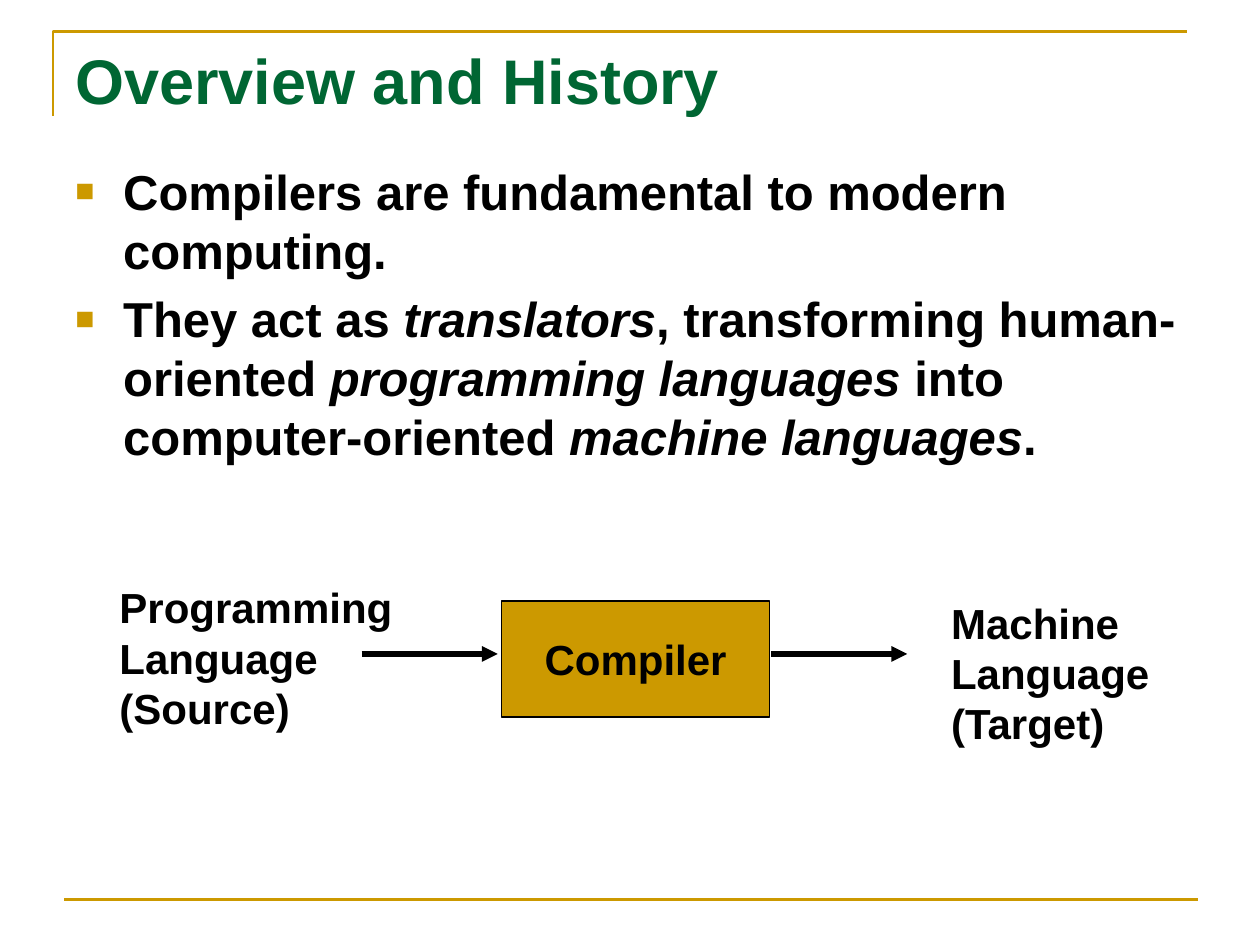
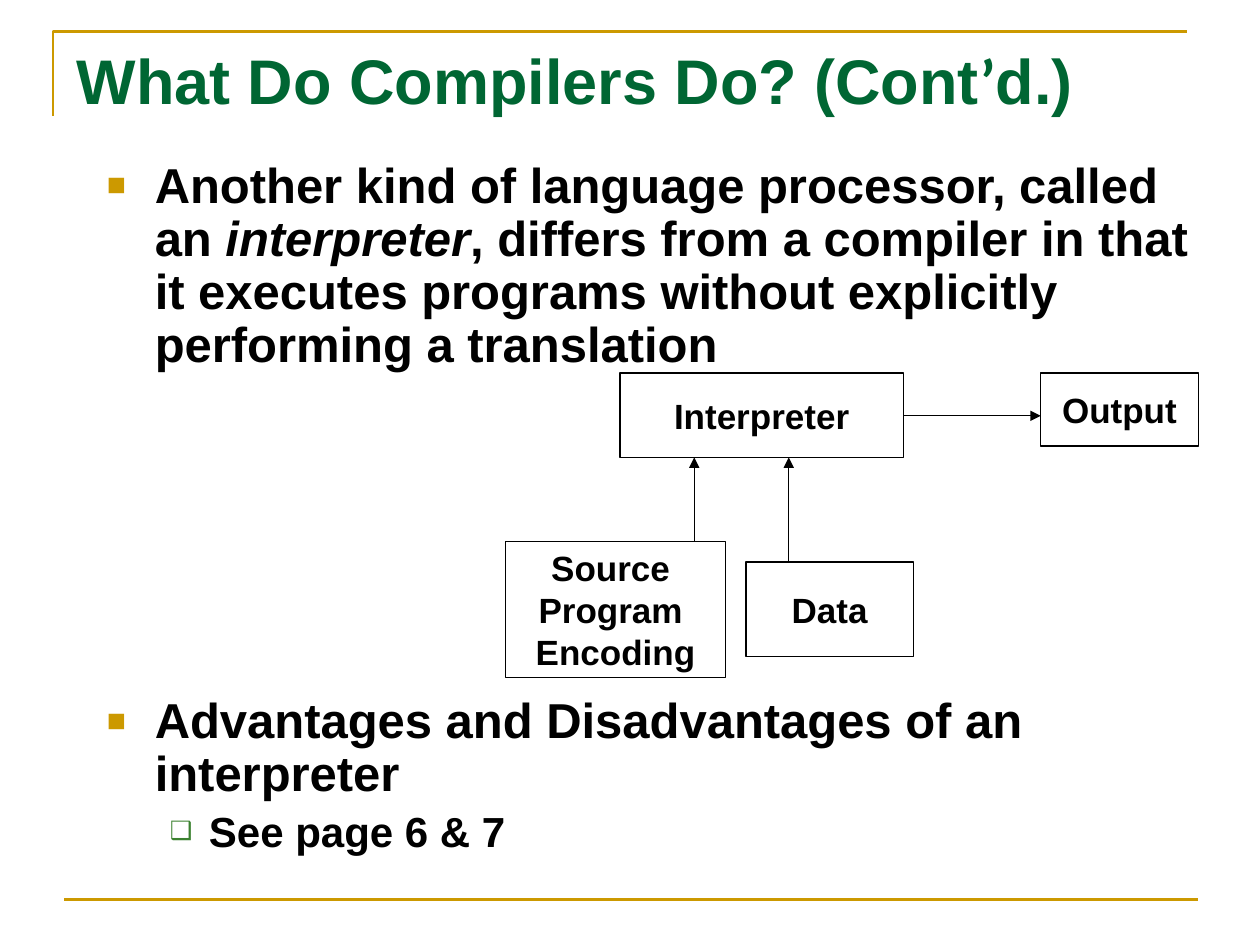
from lxml import etree
from pptx import Presentation
from pptx.dml.color import RGBColor
from pptx.enum.shapes import MSO_CONNECTOR, MSO_SHAPE
from pptx.enum.text import MSO_ANCHOR, MSO_AUTO_SIZE, PP_ALIGN
from pptx.oxml.ns import qn
from pptx.util import Inches, Pt

GOLD = RGBColor(0xCC, 0x99, 0x00)
GREEN = RGBColor(0x00, 0x66, 0x33)
LEAF = RGBColor(0x3B, 0x81, 0x2F)
BLACK = RGBColor(0x00, 0x00, 0x00)
STRAIGHT = MSO_CONNECTOR.STRAIGHT
RECTANGLE = MSO_SHAPE.RECTANGLE
MIDDLE = MSO_ANCHOR.MIDDLE
CENTER = PP_ALIGN.CENTER
FIT_SHAPE = MSO_AUTO_SIZE.SHAPE_TO_FIT_TEXT
FONT = "Arial"
TITLE_SIZE, BODY_SIZE, LABEL_SIZE, BOX_SIZE = 36, 28, 24, 20
BULLETS = [
    {"char": "■", "color": GOLD, "scale": 65, "margin": 0.38, "hang": 0.38, "size": BODY_SIZE},
    {"char": "❑", "color": LEAF, "scale": 60, "margin": 0.81, "hang": 0.31, "size": LABEL_SIZE},
]


class SlideWriter:
    def __init__(self, deck):
        self.deck = deck
        self.page = None

    def new_page(self):
        self.page = self.deck.slides.add_slide(self.deck.slide_layouts[6])
        builder = self.page.shapes.build_freeform(Inches(0.42), Inches(0.92))
        builder.add_line_segments(
            [(Inches(0.42), Inches(0.25)), (Inches(9.42), Inches(0.25))], close=False)
        corner = builder.convert_to_shape()
        corner.shadow.inherit = False
        corner.fill.background()
        self.stroke(corner.line, GOLD, 1.5)
        self.line((0.51, 7.14), (9.51, 7.14), GOLD, 1.5)

    def stroke(self, line, color, width):
        line.color.rgb = color
        line.width = Pt(width)

    def style(self, font, size, color=BLACK):
        font.name = FONT
        font.size = Pt(size)
        font.bold = True
        font.color.rgb = color

    def line(self, start, end, color=BLACK, width=0.75):
        connector = self.page.shapes.add_connector(
            STRAIGHT, *(Inches(value) for value in start + end))
        self.stroke(connector.line, color, width)
        etree.SubElement(connector._element.spPr, qn("a:effectLst"))
        return connector

    def arrow(self, start, end, width=0.75):
        connector = self.line(start, end, width=width)
        etree.SubElement(connector.line._get_or_add_ln(), qn("a:tailEnd"), type="triangle")

    def text_frame(self, place, wrap=True):
        box = self.page.shapes.add_textbox(*(Inches(value) for value in place))
        box.text_frame.word_wrap = wrap
        return box.text_frame

    def title(self, place, spans):
        para = self.text_frame(place).paragraphs[0]
        self.style(para.font, TITLE_SIZE, GREEN)
        for text, font_name in spans:
            span = para.add_run()
            span.text = text
            if font_name != FONT:
                span.font.name = font_name

    def fill_lines(self, frame, lines, size, align=None):
        for index, text in enumerate(lines):
            para = frame.add_paragraph() if index else frame.paragraphs[0]
            para.text = text
            para.alignment = align
            self.style(para.font, size)

    def label(self, place, lines):
        frame = self.text_frame(place, wrap=False)
        frame.auto_size = FIT_SHAPE
        self.fill_lines(frame, lines, LABEL_SIZE)

    def box(self, place, lines, size=BOX_SIZE, fill=None):
        shape = self.page.shapes.add_shape(RECTANGLE, *(Inches(value) for value in place))
        shape.shadow.inherit = False
        if fill is None:
            shape.fill.background()
        else:
            shape.fill.solid()
            shape.fill.fore_color.rgb = fill
        self.stroke(shape.line, BLACK, 0.75)
        shape.text_frame.word_wrap = False
        shape.text_frame.vertical_anchor = MIDDLE
        self.fill_lines(shape.text_frame, lines, size, CENTER)

    def bullet(self, para, level):
        look = BULLETS[level]
        para.level = level
        props = para._p.get_or_add_pPr()
        props.set("marL", str(Inches(look["margin"])))
        props.set("indent", str(-Inches(look["hang"])))
        color = etree.SubElement(props, qn("a:buClr"))
        etree.SubElement(color, qn("a:srgbClr"), val=str(look["color"]))
        etree.SubElement(props, qn("a:buSzPct"), val=str(look["scale"] * 1000))
        etree.SubElement(props, qn("a:buFont"), typeface=FONT)
        etree.SubElement(props, qn("a:buChar"), char=look["char"])
        self.style(para.font, look["size"])

    def body(self, place, items, line_spacing=1.0):
        frame = self.text_frame(place)
        for index, (level, gap, spans) in enumerate(items):
            para = frame.add_paragraph() if index else frame.paragraphs[0]
            para.line_spacing = line_spacing
            para.space_before = Pt(gap)
            self.bullet(para, level)
            for position, text in enumerate(spans):
                span = para.add_run()
                span.text = text
                if position % 2:
                    span.font.italic = True


deck = Presentation()
deck.slide_width, deck.slide_height = Inches(10), Inches(7.5)
writer = SlideWriter(deck)

writer.new_page()
writer.title((0.5, 0.28, 9, 0.95), [("Overview and History", FONT)])
writer.body((0.5, 1.23, 9, 3.88), [
    (0, 5.6, ["Compilers are fundamental to modern computing."]),
    (0, 5.6, ["They act as ", "translators", ", transforming human-oriented ",
              "programming languages", " into computer-oriented ",
              "machine languages", "."]),
])
writer.label((0.85, 4.57, 2.4, 1.3), ["Programming", "Language", "(Source)"])
writer.box((3.98, 4.77, 2.13, 0.92), ["Compiler"], LABEL_SIZE, GOLD)
writer.label((7.45, 4.69, 1.82, 1.3), ["Machine", "Language", "(Target)"])
for left in (2.87, 6.12):
    writer.arrow((left, 5.19), (left + 1.08, 5.19), 3)

writer.new_page()
writer.body((0.75, 1.23, 8.92, 6.06), [
    (0, 5.6, ["Another kind of language processor, called an ", "interpreter",
              ", differs from a compiler in that it executes programs without "
              "explicitly performing a translation"]),
    (0, 185, ["Advantages and Disadvantages of an interpreter"]),
    (1, 4.8, ["See page 6 & 7"]),
], 0.9)
writer.title((0.51, 0.28, 8.43, 0.76), [
    ("What Do Compilers Do? (Cont", FONT), ("’", "Calibri"), ("d.)", FONT)])
writer.box((4.01, 4.3, 1.75, 1.08), ["Source ", "Program ", "Encoding"])
writer.box((8.26, 2.96, 1.25, 0.58), ["Output"])
writer.box((4.92, 2.96, 2.25, 0.67), ["Interpreter"])
writer.box((5.92, 4.46, 1.33, 0.75), ["Data"])
writer.arrow((5.51, 4.3), (5.51, 3.63))
writer.arrow((6.26, 4.46), (6.26, 3.63))
writer.arrow((7.17, 3.3), (8.26, 3.3))

deck.save("out.pptx")
